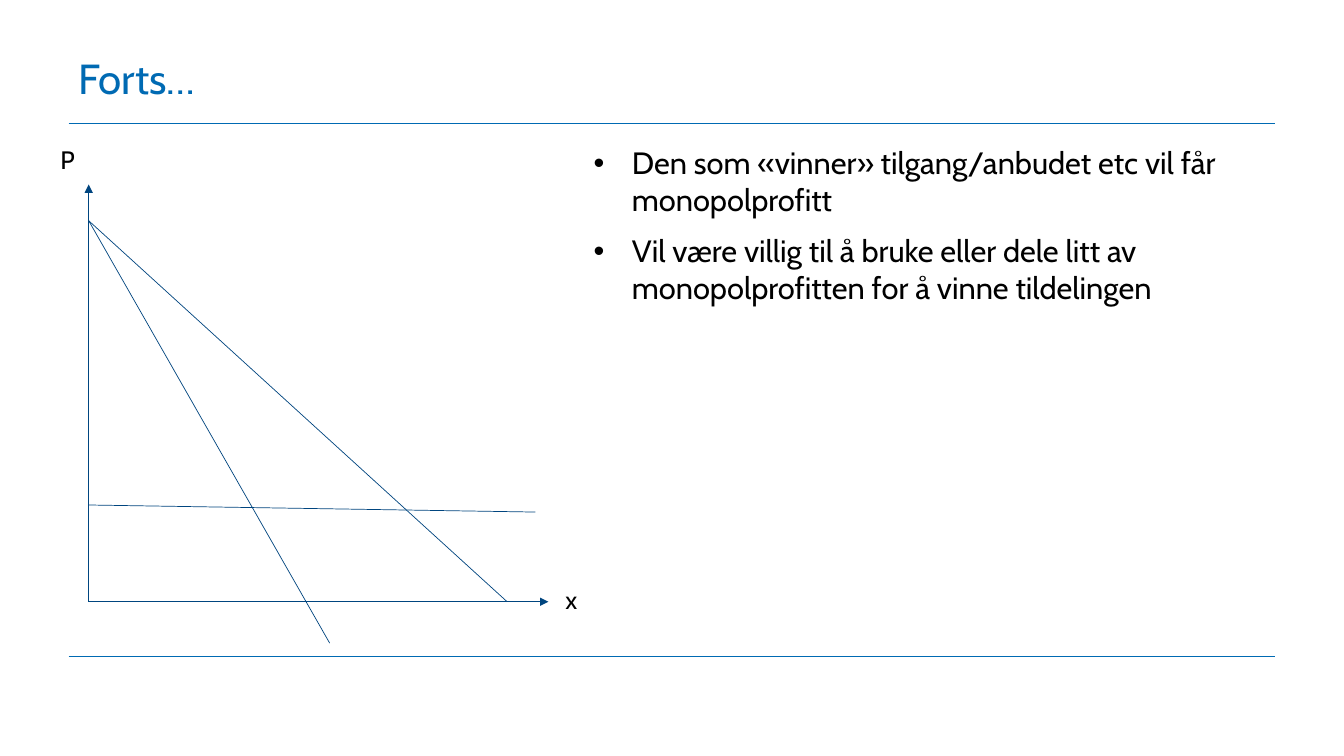
from dataclasses import dataclass

from lxml.etree import SubElement
from pptx import Presentation
from pptx.dml.color import RGBColor
from pptx.enum.shapes import MSO_CONNECTOR
from pptx.enum.text import MSO_ANCHOR
from pptx.oxml.ns import qn
from pptx.util import Inches, Pt

# Content
TITLE = "Forts…"
BULLETS = [
    "Den som «vinner» tilgang/anbudet etc vil får monopolprofitt",
    "Vil være villig til å bruke eller dele litt av monopolprofitten for å vinne tildelingen",
]
PRICE_LABEL, QUANTITY_LABEL = "P", "x"


@dataclass(frozen=True)
class Theme:
    font: str = "Cabin"
    accent: str = "006AB3"
    diagram: str = "00457F"
    text: str = "000000"
    title_size: int = 30
    body_size: int = 22
    label_size: int = 18
    thin: float = 0.5
    rule: float = 0.75


THEME = Theme()

# Layout in inches
WIDTH, HEIGHT = 13.33, 7.5
LEFT, RIGHT = 0.68, 12.65
TITLE_TOP, TITLE_RULE, FOOTER_RULE = 0.53, 1.23, 6.51
CONTENT_TOP, BODY_LEFT, BODY_HEIGHT = 1.38, 5.79, 4.9
LABEL_WIDTH, LABEL_HEIGHT = 0.76, 0.4

# Diagram: both demand curves start at the same point on the price axis
ORIGIN_X, ORIGIN_Y = 0.88, 5.97
ORIGIN = (ORIGIN_X, ORIGIN_Y)
CHOKE_PRICE = (ORIGIN_X, 2.19)
AXES = [(ORIGIN, (ORIGIN_X, 1.83)), (ORIGIN, (5.44, ORIGIN_Y))]
CURVES = [
    ((ORIGIN_X, 5.01), (5.31, 5.08)),  # marginal cost
    (CHOKE_PRICE, (5.03, ORIGIN_Y)),  # demand
    (CHOKE_PRICE, (3.27, 6.38)),  # marginal revenue
]


def add_line(slide, start, end, color=THEME.diagram, width=THEME.thin, arrow=False):
    points = [Inches(value) for value in (*start, *end)]
    connector = slide.shapes.add_connector(MSO_CONNECTOR.STRAIGHT, *points)
    connector.line.color.rgb = RGBColor.from_string(color)
    connector.line.width = Pt(width)
    if arrow:
        SubElement(connector.line._get_or_add_ln(), qn("a:tailEnd"), type="triangle")
    SubElement(connector._element.spPr, qn("a:effectLst"))


def add_text(slide, paragraphs, box, size, color=THEME.text,
             bullet=False, space_before=0, line_spacing=1.0):
    shape = slide.shapes.add_textbox(*[Inches(value) for value in box])
    frame = shape.text_frame
    frame.word_wrap = True
    frame.vertical_anchor = MSO_ANCHOR.TOP
    for index, text in enumerate(paragraphs):
        paragraph = frame.paragraphs[0] if index == 0 else frame.add_paragraph()
        paragraph.space_before = Pt(space_before)
        paragraph.line_spacing = line_spacing
        run = paragraph.add_run()
        run.text = text
        run.font.name = THEME.font
        run.font.size = Pt(size)
        run.font.color.rgb = RGBColor.from_string(color)
        if bullet:
            properties = paragraph._p.get_or_add_pPr()
            properties.set("marL", str(Inches(0.38)))
            properties.set("indent", str(-Inches(0.38)))
            SubElement(properties, qn("a:buFont"), typeface="Arial")
            SubElement(properties, qn("a:buChar"), char="•")


def main():
    presentation = Presentation()
    presentation.slide_width = Inches(WIDTH)
    presentation.slide_height = Inches(HEIGHT)
    slide = presentation.slides.add_slide(presentation.slide_layouts[6])

    # Rules framing the content
    for y, width in ((FOOTER_RULE, THEME.thin), (TITLE_RULE, THEME.rule)):
        add_line(slide, (LEFT, y), (RIGHT, y), color=THEME.accent, width=width)

    # Title and bullets
    add_text(slide, [TITLE], (LEFT, TITLE_TOP, RIGHT - LEFT, TITLE_RULE - TITLE_TOP),
             THEME.title_size, color=THEME.accent, line_spacing=0.9)
    add_text(slide, BULLETS, (BODY_LEFT, CONTENT_TOP, RIGHT - BODY_LEFT, BODY_HEIGHT),
             THEME.body_size, bullet=True, space_before=10)

    # Diagram
    for start, end in AXES:
        add_line(slide, start, end, arrow=True)
    for label, left, top in ((PRICE_LABEL, 0.5, CONTENT_TOP), (QUANTITY_LABEL, 5.51, 5.75)):
        add_text(slide, [label], (left, top, LABEL_WIDTH, LABEL_HEIGHT), THEME.label_size)
    for start, end in CURVES:
        add_line(slide, start, end)

    presentation.save("out.pptx")


if __name__ == "__main__":
    main()
